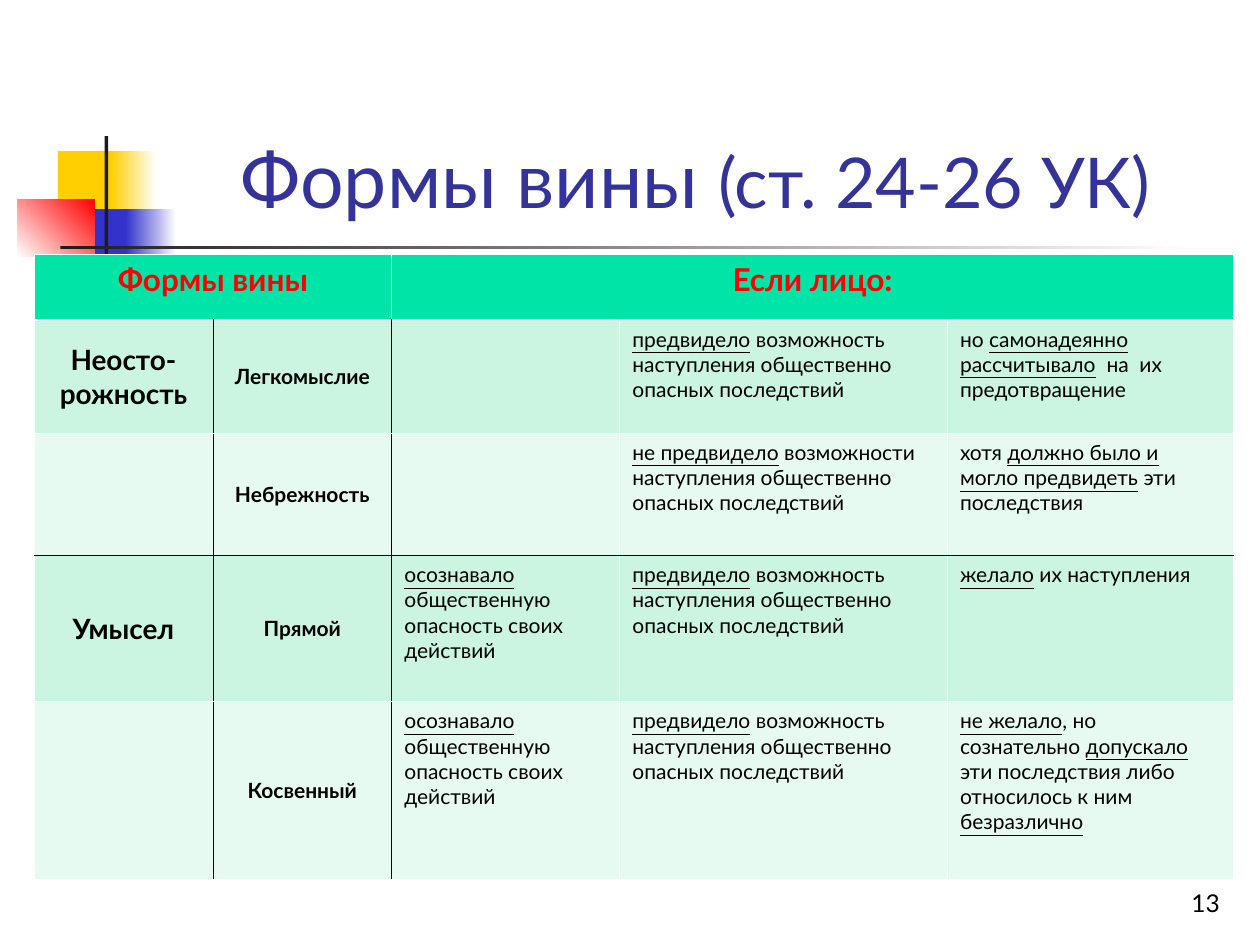
from lxml import etree
from pptx import Presentation
from pptx.dml.color import RGBColor
from pptx.enum.shapes import MSO_SHAPE
from pptx.enum.text import MSO_ANCHOR as Anchor, MSO_AUTO_SIZE as AutoSize, PP_ALIGN as Align
from pptx.oxml.ns import qn
from pptx.util import Inches, Pt

FONT = "Lato"
BLACK = RGBColor(0x00, 0x00, 0x00)
WHITE = RGBColor(0xFF, 0xFF, 0xFF)
RED = RGBColor(0xFF, 0x00, 0x00)
YELLOW = RGBColor(0xFF, 0xCF, 0x01)
BLUE = RGBColor(0x33, 0x33, 0xCC)
CHARCOAL = RGBColor(0x1C, 0x1C, 0x1C)
TITLE_BLUE = RGBColor(0x33, 0x33, 0x99)
HEADER_GREEN = RGBColor(0x00, 0xE4, 0xA8)
BAND_GREENS = (RGBColor(0xE7, 0xFA, 0xF1), RGBColor(0xCB, 0xF5, 0xE1))

# left, top, width, height, start colour, end colour, gradient angle
ORNAMENTS = [
    (0.46, 1.2, 0.48, 0.52, YELLOW, None, 0),
    (0.88, 1.2, 0.36, 0.52, YELLOW, WHITE, 0),
    (0.59, 1.66, 0.46, 0.52, BLUE, None, 0),
    (1, 1.66, 0.4, 0.52, BLUE, WHITE, 0),
    (0.14, 1.58, 0.61, 0.46, WHITE, RED, 45),
    (0.83, 1.08, 0.03, 1.15, CHARCOAL, None, 0),
    (0.48, 1.95, 9, 0.03, CHARCOAL, WHITE, 0),
]

COLUMN_WIDTHS = (1.42, 1.42, 1.81, 2.6, 2.27)
ROW_HEIGHTS = (0.52, 0.9, 0.97, 1.16, 1.41)
AWARE = "_осознавало_ общественную опасность своих действий"
FORESAW = "_предвидело_ возможность наступления общественно опасных последствий"
# Underscores enclose underlined words.
ROWS = [
    ("Формы вины", "", "Если лицо:", "", ""),
    ("Неосто-рожность", "Легкомыслие", "", FORESAW,
     "но _самонадеянно рассчитывало_  на  их предотвращение"),
    ("", "Небрежность", "",
     "_не предвидело_ возможности наступления общественно опасных последствий",
     "хотя _должно было и могло предвидеть_ эти последствия"),
    ("Умысел", "Прямой", AWARE, FORESAW, "_желало_ их наступления"),
    ("", "Косвенный", AWARE, FORESAW,
     "_не желало_, но сознательно _допускало_ эти последствия либо "
     "относилось к ним _безразлично_"),
]


def style(para, size, color, align, bold=False):
    para.alignment = align
    font = para.font
    font.name, font.size, font.bold = FONT, Pt(size), bold
    font.color.rgb = color


def add_ornament(slide, left, top, width, height, start, end, angle):
    shape = slide.shapes.add_shape(
        MSO_SHAPE.RECTANGLE, Inches(left), Inches(top), Inches(width), Inches(height))
    shape.shadow.inherit = False
    shape.line.fill.background()
    if end is None:
        shape.fill.solid()
        shape.fill.fore_color.rgb = start
        return
    shape.fill.gradient()
    shape.fill.gradient_angle = angle
    for stop, color in zip(shape.fill.gradient_stops, (start, end)):
        stop.color.rgb = color


def fill_title(slide):
    title = slide.shapes.title
    title.left, title.top = Inches(1.26), Inches(0.23)
    title.width, title.height = Inches(8.52), Inches(1.6)
    frame = title.text_frame
    frame.auto_size = AutoSize.NONE
    frame.vertical_anchor = Anchor.BOTTOM
    para = frame.paragraphs[0]
    style(para, 44, TITLE_BLUE, Align.CENTER)
    para.add_run().text = "Формы вины "
    article = para.add_run()
    article.text = "(ст. 24-26 УК)"
    article.font.size = Pt(40)


def add_marked_text(para, text):
    for index, part in enumerate(text.split("_")):
        if part:
            span = para.add_run()
            span.text = part
            if index % 2:
                span.font.underline = True


def set_borders(cell, row, column):
    """Rule the stub columns and the line between the two forms in black."""
    def vertical(edge):
        return (BLACK if row and edge in (1, 2) else WHITE), 0.45

    def horizontal(edge):
        return (BLACK if edge == 3 else WHITE), (1.47 if edge == 1 else 0.45)

    sides = {"a:lnL": vertical(column), "a:lnR": vertical(column + 1),
             "a:lnT": horizontal(row), "a:lnB": horizontal(row + 1)}
    properties = cell._tc.get_or_add_tcPr()
    for index, (tag, (color, width)) in enumerate(sides.items()):
        line = etree.Element(qn(tag), w=str(Pt(width)))
        solid = etree.SubElement(line, qn("a:solidFill"))
        etree.SubElement(solid, qn("a:srgbClr"), val=str(color))
        properties.insert(index, line)


def fill_cell(cell, text, row, column):
    cell.fill.solid()
    cell.fill.fore_color.rgb = BAND_GREENS[row % 2] if row else HEADER_GREEN
    set_borders(cell, row, column)
    para = cell.text_frame.paragraphs[0]
    if row == 0:
        style(para, 18, RED, Align.CENTER, bold=True)
    elif column < 2:
        cell.vertical_anchor = Anchor.MIDDLE
        style(para, 12 if column else 16, BLACK, Align.CENTER, bold=True)
    else:
        style(para, 12, BLACK, Align.LEFT)
    add_marked_text(para, text)


def add_guilt_table(slide):
    table = slide.shapes.add_table(
        len(ROWS), len(COLUMN_WIDTHS), Inches(0.27), Inches(2.02),
        Inches(sum(COLUMN_WIDTHS)), Inches(sum(ROW_HEIGHTS))).table
    table.first_row = table.horz_banding = False
    for column, width in zip(table.columns, COLUMN_WIDTHS):
        column.width = Inches(width)
    for row, height in zip(table.rows, ROW_HEIGHTS):
        row.height = Inches(height)
    for row, texts in enumerate(ROWS):
        for column, text in enumerate(texts):
            fill_cell(table.cell(row, column), text, row, column)
    table.cell(0, 0).merge(table.cell(0, 1))
    table.cell(0, 2).merge(table.cell(0, 4))


def add_page_number(slide, number):
    box = slide.shapes.add_textbox(Inches(7.7), Inches(6.83), Inches(2.08), Inches(0.5))
    frame = box.text_frame
    frame.word_wrap = True
    frame.vertical_anchor = Anchor.BOTTOM
    para = frame.paragraphs[0]
    style(para, 14, BLACK, Align.RIGHT)
    para.add_run().text = number


def main():
    deck = Presentation()
    deck.slide_width, deck.slide_height = Inches(10), Inches(7.5)
    slide = deck.slides.add_slide(deck.slide_layouts[5])
    for ornament in ORNAMENTS:
        add_ornament(slide, *ornament)
    fill_title(slide)
    add_guilt_table(slide)
    add_page_number(slide, "13")
    deck.save("out.pptx")


if __name__ == "__main__":
    main()
